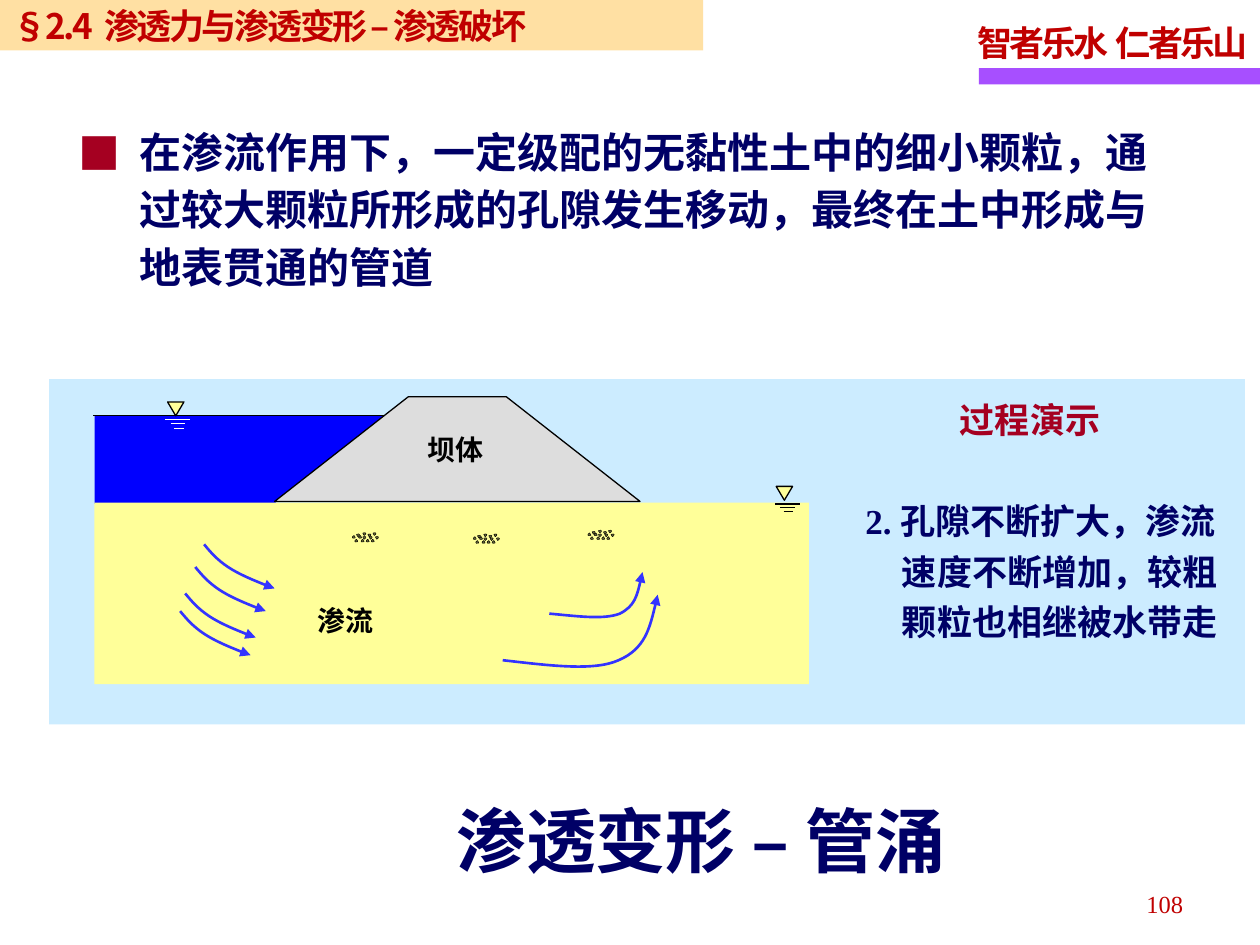
from dataclasses import dataclass, field

from lxml import etree
from pptx import Presentation
from pptx.dml.color import RGBColor
from pptx.enum.shapes import MSO_CONNECTOR, MSO_SHAPE
from pptx.enum.text import MSO_ANCHOR, MSO_AUTO_SIZE, PP_ALIGN
from pptx.oxml.ns import qn
from pptx.util import Inches, Pt

RECT, TRIANGLE = MSO_SHAPE.RECTANGLE, MSO_SHAPE.ISOSCELES_TRIANGLE
STRAIGHT = MSO_CONNECTOR.STRAIGHT
LEFT, RIGHT = PP_ALIGN.LEFT, PP_ALIGN.RIGHT
TOP, MIDDLE = MSO_ANCHOR.TOP, MSO_ANCHOR.MIDDLE
LATIN, CJK = "Times New Roman", "Noto Sans CJK SC"
C = {
    "purple": "A74FFF", "red": "C00000", "crimson": "A50021", "navy": "000066",
    "panel": "CCECFF", "water": "0000FF", "soil": "FFFF99", "dam": "DDDDDD",
    "flow": "3333FF", "grain": "666633", "header": "FFCC66",
    "black": "000000", "white": "FFFFFF",
}


@dataclass
class Label:
    text: str
    box: tuple
    size: float
    color: str
    bold: bool = True
    font: str = LATIN
    wrap: bool = True
    anchor: MSO_ANCHOR = TOP
    margins: tuple = (0.1, 0.05)
    spacing: float = 0
    hanging: float = 0
    bullet: str = ""
    para: dict = field(default_factory=dict)


@dataclass
class WaterLevel:
    """A triangle mark above short lines given as (x1, x2, y)."""
    left: float
    top: float
    color: str
    lines: tuple


LABELS = [
    Label("智者乐水  仁者乐山", (7.66, 0.07, 2.36, 0.49), 20, "red", wrap=False,
          spacing=-1.7, para={"line_spacing": 1.15}),
    Label("坝体", (3.3, 3.39, 0.72, 0.37), 16, "black", margins=(0.09, 0.04)),
    Label("渗流", (2.43, 4.75, 1.19, 0.53), 16, "black", margins=(0.09, 0.04)),
    Label("2. 孔隙不断扩大，渗流速度不断增加，较粗颗粒也相继被水带走",
          (6.77, 3.85, 3.02, 1.3), 20, "navy", hanging=0.29, para={"line_spacing": 1.2}),
    Label("过程演示", (7.52, 3.11, 1.32, 0.43), 20, "crimson", wrap=False),
    Label("108", (7.16, 6.97, 2.33, 0.4), 14, "red", bold=False,
          para={"alignment": RIGHT, "line_spacing": 1.15}),
]
TITLE = Label("渗透变形 – 管涌", (3.52, 6.28, 4.1, 0.77), 40, "navy", wrap=False)
BODY = Label("在渗流作用下，一定级配的无黏性土中的细小颗粒，通过较大颗粒所形成的孔隙发生移动，"
             "最终在土中形成与地表贯通的管道", (0.62, 0.94, 8.74, 1.38), 24, "navy",
             margins=(0, 0), hanging=0.49, bullet="■", para={"line_spacing": 1.15})
HEADER = Label("§2.4  渗透力与渗透变形 – 渗透破坏", (0, 0, 5.58, 0.4), 20, "red",
               font=CJK, anchor=MIDDLE, spacing=-1.4)
LEVELS = [
    WaterLevel(1.33, 3.19, "white",
               ((1.31, 1.51, 3.33), (1.36, 1.47, 3.36), (1.38, 1.46, 3.4))),
    WaterLevel(6.16, 3.86, "black",
               ((6.15, 6.35, 4), (6.19, 6.31, 4.03), (6.22, 6.29, 4.06))),
]
INFLOW = [(0, 0), (0.05, 0.06), (0.1, 0.12), (0.19, 0.18),
          (0.28, 0.24), (0.5, 0.33), (0.56, 0.35)]
INFLOW_STARTS = [(1.55, 4.5), (1.62, 4.32), (1.47, 4.71), (1.43, 4.85)]
OUTFLOWS = [
    [(4.36, 4.87), (4.58, 4.89), (4.79, 4.92), (4.92, 4.87),
     (5.04, 4.81), (5.07, 4.68), (5.1, 4.54)],
    [(3.99, 5.24), (4.35, 5.28), (4.71, 5.33), (4.91, 5.24),
     (5.12, 5.15), (5.17, 4.94), (5.22, 4.72)],
]
GRAIN = [(0.03, 0.02), (0, 0.03), (0, 0.01), (0.02, 0),
         (0.03, 0.01), (0.03, 0.02), (0.03, 0.02)]
UPRIGHT = [(0, 0.03), (0.05, 0.03), (0.02, 0.06), (0.07, 0.06), (0.11, 0.06), (0.15, 0.06)]
TURNED = [(0.09, 0.03), (0.04, 0.01), (0.13, 0.01), (0.09, 0),
          (0.17, 0), (0.14, 0.03), (0.19, 0.03)]
CLUSTERS = [(4.66, 4.2), (3.75, 4.23), (2.79, 4.22)]


def rgb(name: str) -> RGBColor:
    return RGBColor.from_string(C[name])


def paint(sp, fill: str = "", line: str = "", width: float = 0.75) -> None:
    sp.shadow.inherit = False
    if fill:
        sp.fill.solid()
        sp.fill.fore_color.rgb = rgb(fill)
    else:
        sp.fill.background()
    if line:
        sp.line.color.rgb = rgb(line)
        sp.line.width = Pt(width)
    else:
        sp.line.fill.background()


def write(sp, label: Label) -> None:
    tf = sp.text_frame
    side, end = (Inches(m) for m in label.margins)
    frame = {"word_wrap": label.wrap, "auto_size": MSO_AUTO_SIZE.NONE,
             "vertical_anchor": label.anchor, "margin_left": side,
             "margin_right": side, "margin_top": end, "margin_bottom": end}
    for name, value in frame.items():
        setattr(tf, name, value)
    p = tf.paragraphs[0]
    for name, value in {"alignment": LEFT, "space_before": Pt(0), **label.para}.items():
        setattr(p, name, value)
    if label.hanging:
        pPr = p._p.get_or_add_pPr()
        pPr.set("marL", str(Inches(label.hanging)))
        pPr.set("indent", str(-Inches(label.hanging)))
    if label.bullet:
        color = etree.SubElement(pPr, qn("a:buClr"))
        etree.SubElement(color, qn("a:srgbClr"), val=C["crimson"])
        etree.SubElement(pPr, qn("a:buFont"), typeface=CJK)
        etree.SubElement(pPr, qn("a:buChar"), char=label.bullet)
    r = p.add_run()
    r.text = label.text
    for name, value in {"size": Pt(label.size), "bold": label.bold, "name": label.font}.items():
        setattr(r.font, name, value)
    r.font.color.rgb = rgb(label.color)
    rPr = r._r.get_or_add_rPr()
    if label.spacing:
        rPr.set("spc", str(round(label.spacing * 100)))
    rPr.find(qn("a:latin")).addnext(etree.Element(qn("a:ea"), typeface=CJK))


def add_box(shapes, kind, box: tuple, fill: str, line: str = ""):
    sp = shapes.add_shape(kind, *map(Inches, box))
    paint(sp, fill, line)
    return sp


def add_line(shapes, x1: float, y1: float, x2: float, y2: float, color: str) -> None:
    cxn = shapes.add_connector(STRAIGHT, *map(Inches, (x1, y1, x2, y2)))
    cxn.line.color.rgb = rgb(color)
    cxn.line.width = Pt(0.75)
    etree.SubElement(cxn._element.spPr, qn("a:effectLst"))


def add_outline(shapes, points: list, close: bool = True):
    start, *rest = [(Inches(x), Inches(y)) for x, y in points]
    fb = shapes.build_freeform(*start)
    fb.add_line_segments(rest, close=close)
    return fb.convert_to_shape()


def add_curve(shapes, points: list, close: bool = False):
    """Freeform whose points after the first are Bezier triples."""
    sp = add_outline(shapes, points, close)
    segments = list(sp._element.iter(qn("a:lnTo")))
    for i in range(0, len(segments), 3):
        curve = etree.Element(qn("a:cubicBezTo"))
        segments[i].addprevious(curve)
        for segment in segments[i:i + 3]:
            curve.append(segment[0])
            segment.getparent().remove(segment)
    return sp


def add_flow(shapes, points: list) -> None:
    sp = add_curve(shapes, points)
    paint(sp, line="flow", width=1.5)
    etree.SubElement(sp.line._get_or_add_ln(), qn("a:tailEnd"), type="triangle")


def add_level(shapes, level: WaterLevel) -> None:
    add_box(shapes, TRIANGLE, (level.left, level.top, 0.13, 0.11), "soil", "black").rotation = 180
    for x1, x2, y in level.lines:
        add_line(shapes, x1, y, x2, y, level.color)


def shift(points: list, x: float, y: float) -> list:
    return [(x + dx, y + dy) for dx, dy in points]


def add_grains(shapes, x: float, y: float) -> None:
    for offsets, angle in ((UPRIGHT, 0), (TURNED, 180)):
        for left, top in shift(offsets, x, y):
            sp = add_curve(shapes, shift(GRAIN, left, top), close=True)
            paint(sp, "grain", "black", 0.25)
            sp.rotation = angle


def main() -> None:
    prs = Presentation()
    prs.slide_width, prs.slide_height = Inches(10), Inches(7.5)
    s = prs.slides.add_slide(prs.slide_layouts[1])
    shapes = s.shapes
    for sp, label in ((shapes.title, TITLE), (s.placeholders[1], BODY)):
        sp.left, sp.top, sp.width, sp.height = map(Inches, label.box)
        write(sp, label)

    add_box(shapes, RECT, (7.77, 0.54, 2.23, 0.13), "purple")
    add_box(shapes, RECT, (0.39, 3.01, 9.49, 2.74), "panel")
    paint(add_outline(shapes, [(0.75, 4), (0.75, 3.3), (3.07, 3.3), (2.16, 4.01)]), "water")
    add_line(shapes, 0.74, 3.3, 3.05, 3.3, "black")
    add_box(shapes, RECT, (0.75, 3.99, 5.67, 1.44), "soil")
    dam = add_outline(shapes, [(2.18, 3.98), (3.24, 3.15), (4.02, 3.15), (5.08, 3.98)])
    paint(dam, "dam", "black")
    for level in LEVELS:
        add_level(shapes, level)
    for points in [shift(INFLOW, *start) for start in INFLOW_STARTS] + OUTFLOWS:
        add_flow(shapes, points)
    for cluster in CLUSTERS:
        add_grains(shapes, *cluster)
    for label in LABELS:
        write(shapes.add_textbox(*map(Inches, label.box)), label)

    header = add_box(shapes, RECT, HEADER.box, "header")
    color = header._element.spPr.find(qn("a:solidFill"))[0]
    etree.SubElement(color, qn("a:alpha"), val="60000")
    write(header, HEADER)
    prs.save("out.pptx")


if __name__ == "__main__":
    main()
